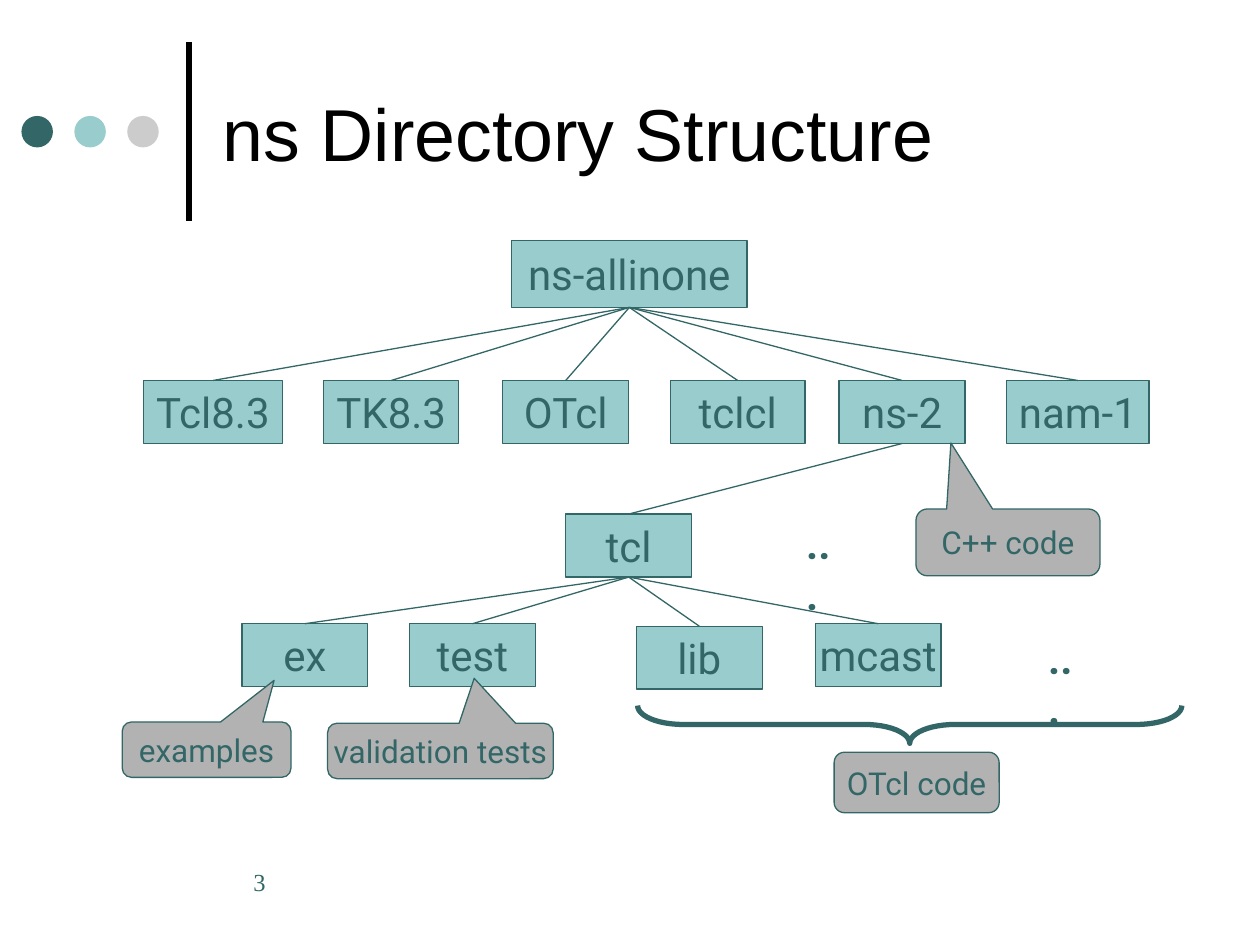
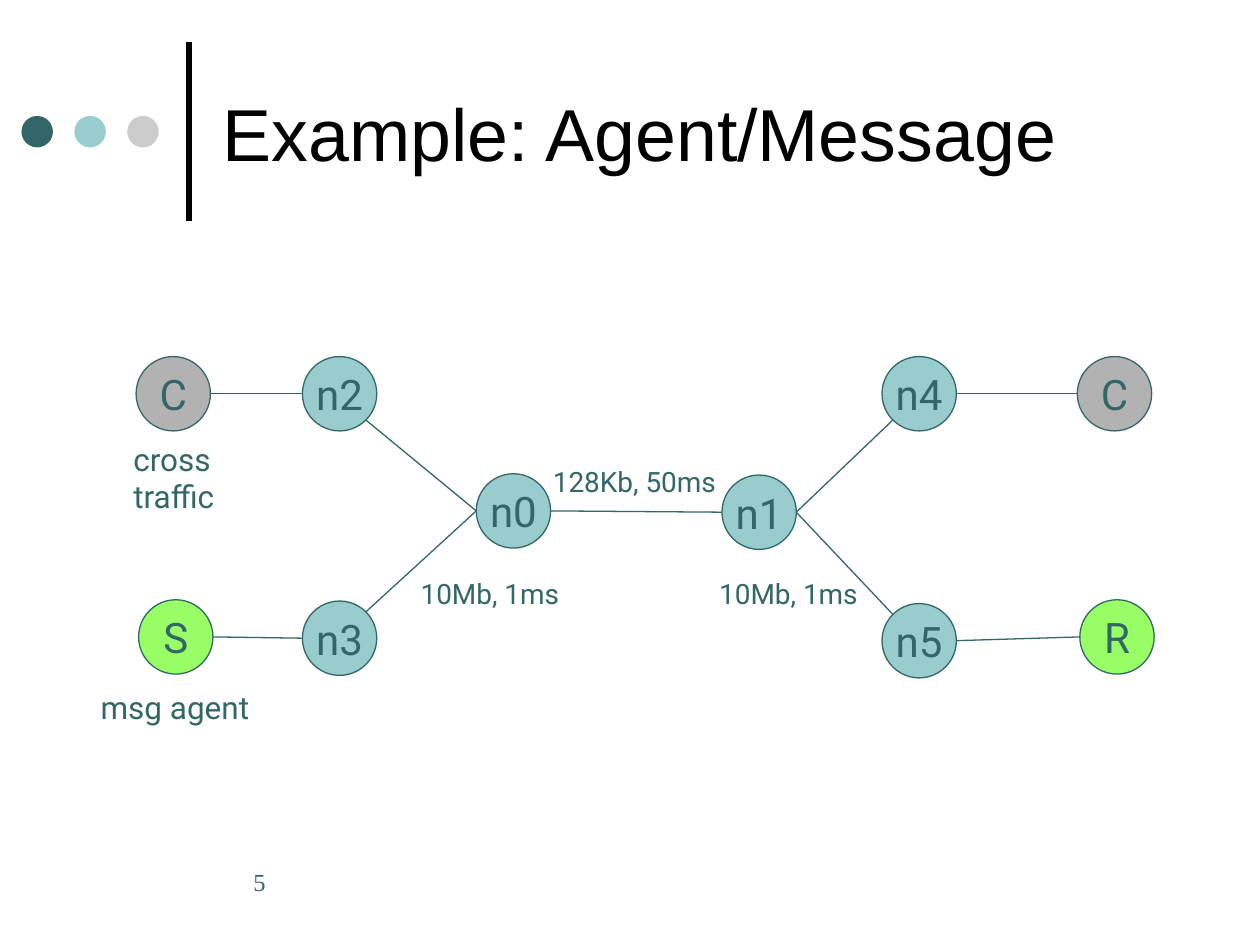
"""Build two slides on ns: its directory tree and an agent/message topology."""
from math import cos, radians, sin

from lxml import etree
from pptx import Presentation
from pptx.dml.color import RGBColor
from pptx.enum.shapes import MSO_CONNECTOR, MSO_SHAPE
from pptx.enum.text import MSO_ANCHOR, PP_ALIGN
from pptx.oxml.ns import qn
from pptx.util import Inches, Pt

RECT, OVAL, ROUND = MSO_SHAPE.RECTANGLE, MSO_SHAPE.OVAL, MSO_SHAPE.ROUNDED_RECTANGLE
CALLOUT, BRACE = MSO_SHAPE.ROUNDED_RECTANGULAR_CALLOUT, MSO_SHAPE.RIGHT_BRACE
STRAIGHT = MSO_CONNECTOR.STRAIGHT
TOP, MIDDLE = MSO_ANCHOR.TOP, MSO_ANCHOR.MIDDLE
LEFT, CENTER = PP_ALIGN.LEFT, PP_ALIGN.CENTER

COLORS = {"teal": "336666", "aqua": "99CCCC", "silver": "CCCCCC",
          "gray": "B2B2B2", "green": "99FF66", "black": "000000"}
DOTS = ["teal", "aqua", "silver"]
DOT_SIZE, DOT_STEP = 0.25, 0.42

TREE_TITLE, TREE_NUMBER = "ns Directory Structure", "3"
FOLDERS = {
    "ns-allinone": (4.06, 1.91, 1.87, 0.53),
    "Tcl8.3": (1.14, 3.02, 1.1, 0.5),
    "TK8.3": (2.57, 3.02, 1.07, 0.5),
    "OTcl": (3.99, 3.02, 1, 0.5),
    "tclcl": (5.32, 3.02, 1.07, 0.5),
    "ns-2": (6.66, 3.02, 1, 0.5),
    "nam-1": (7.99, 3.02, 1.13, 0.5),
    "tcl": (4.49, 4.08, 1, 0.5),
    "ex": (1.92, 4.95, 1, 0.5),
    "test": (3.25, 4.95, 1, 0.5),
    "lib": (5.05, 4.97, 1, 0.5),
    "mcast": (6.47, 4.95, 1, 0.5),
}
CHILDREN = {
    "ns-allinone": ["Tcl8.3", "TK8.3", "OTcl", "tclcl", "ns-2", "nam-1"],
    "ns-2": ["tcl"],
    "tcl": ["ex", "test", "lib", "mcast"],
}
MORE_FOLDERS = [(6.3, 4.06, 0.48, 0.5), (8.22, 4.97, 0.48, 0.5)]
NOTES = [
    ("examples", CALLOUT, (0.97, 5.73, 1.34, 0.44), (0.4, -1.25, 0.17)),
    ("validation tests", CALLOUT, (2.6, 5.74, 1.79, 0.44), (0.15, -1.31, 0.17)),
    ("C++ code", CALLOUT, (7.27, 4.04, 1.46, 0.53), (-0.31, -1.49, 0.17)),
    ("OTcl code", ROUND, (6.62, 5.97, 1.31, 0.48), (0.17,)),
]
BRACE_BOX, BRACE_ADJ = (7.07, 3.59, 0.3, 4.32), (1.2, 0.5)

NET_TITLE, NET_NUMBER = "Example: Agent/Message", "5"
NODE_SIZE = 0.59
NODES = {
    "n0": ("n0", "aqua", 3.78, 3.76),
    "n1": ("n1", "aqua", 5.73, 3.77),
    "n2": ("n2", "aqua", 2.4, 2.83),
    "n3": ("n3", "aqua", 2.4, 4.77),
    "n4": ("n4", "aqua", 7, 2.83),
    "n5": ("n5", "aqua", 7, 4.79),
    "cross_left": ("C", "gray", 1.08, 2.83),
    "cross_right": ("C", "gray", 8.55, 2.83),
    "sender": ("S", "green", 1.1, 4.76),
    "receiver": ("R", "green", 8.57, 4.76),
}
LINKS = [
    ("n0", 0, "n1", 180), ("n0", 180, "n2", 45), ("n0", 180, "n3", -45),
    ("n1", 0, "n4", 135), ("n1", 0, "n5", -135),
    ("cross_left", 0, "n2", 180), ("cross_right", 180, "n4", 0),
    ("sender", 0, "n3", 180), ("receiver", 180, "n5", 0),
]
LABELS = [
    ("128Kb, 50ms", 16, (4.29, 3.64, 1.54, 0.37)),
    ("10Mb, 1ms", 16, (3.24, 4.53, 1.35, 0.37)),
    ("10Mb, 1ms", 16, (5.61, 4.53, 1.35, 0.37)),
    ("cross\ntraffic", 18, (0.96, 3.44, 0.89, 0.7)),
    ("msg agent", 18, (0.7, 5.41, 1.45, 0.4)),
]


def rgb(name):
    return RGBColor.from_string(COLORS[name])


def write(sp, text, size=24, font="Roboto", color="teal", bold=False,
          align=LEFT, anchor=TOP, wrap=False):
    tf = sp.text_frame
    tf.word_wrap = wrap
    tf.vertical_anchor = anchor
    for i, line in enumerate(text.split("\n")):
        p = tf.add_paragraph() if i else tf.paragraphs[0]
        p.alignment = align
        r = p.add_run()
        r.text = line
        r.font.name, r.font.size, r.font.bold = font, Pt(size), bold
        r.font.color.rgb = rgb(color)


def add_text(s, text, box, **style):
    sp = s.shapes.add_textbox(*map(Inches, box))
    write(sp, text, **style)
    return sp


def add_shape(s, kind, box, fill=None, line="teal", weight=0.75, adj=(), text="", size=24):
    sp = s.shapes.add_shape(kind, *map(Inches, box))
    sp.shadow.inherit = False
    for i, value in enumerate(adj):
        sp.adjustments[i] = value
    if fill:
        sp.fill.solid()
        sp.fill.fore_color.rgb = rgb(fill)
    else:
        sp.fill.background()
    if line:
        sp.line.color.rgb = rgb(line)
        sp.line.width = Pt(weight)
    else:
        sp.line.fill.background()
    if text:
        write(sp, text, size=size, align=CENTER, anchor=MIDDLE)
    return sp


def add_line(s, start, end, color="teal", weight=0.75):
    line = s.shapes.add_connector(STRAIGHT, *map(Inches, (*start, *end)))
    line.line.color.rgb = rgb(color)
    line.line.width = Pt(weight)
    etree.SubElement(line._element.spPr, qn("a:effectLst"))


def add_slide(prs, title, number):
    s = prs.slides.add_slide(prs.slide_layouts[6])
    add_line(s, (1.5, 1.75), (1.5, 0.33), color="black", weight=3)
    for i, color in enumerate(DOTS):
        add_shape(s, OVAL, (0.17 + i * DOT_STEP, 0.92, DOT_SIZE, DOT_SIZE), fill=color, line=None)
    add_text(s, title, (1.67, 0.21, 7.67, 1.67), size=42, font="Arial",
             color="black", anchor=MIDDLE, wrap=True)
    sp = add_text(s, number, (1.67, 6.83, 1.42, 0.5), size=14, font="Times New Roman", wrap=True)
    sp.text_frame.margin_left = Inches(0.34)
    return s


def build_tree(prs):
    s = add_slide(prs, TREE_TITLE, TREE_NUMBER)
    for name, box in FOLDERS.items():
        add_shape(s, RECT, box, fill="aqua", text=name)
    for parent, children in CHILDREN.items():
        left, top, width, height = FOLDERS[parent]
        for child in children:
            x, y, w, _ = FOLDERS[child]
            add_line(s, (left + width / 2, top + height), (x + w / 2, y))
    for box in MORE_FOLDERS:
        add_text(s, "...", box, bold=True, wrap=True)
    brace = add_shape(s, BRACE, BRACE_BOX, weight=3, adj=BRACE_ADJ)
    brace.rotation = 90
    for text, kind, box, adj in NOTES:
        add_shape(s, kind, box, fill="gray", adj=adj, text=text, size=18)


def rim(node, angle):
    _, _, left, top = NODES[node]
    radius = NODE_SIZE / 2
    turn = radians(angle)
    return left + radius * (1 + cos(turn)), top + radius * (1 + sin(turn))


def build_network(prs):
    s = add_slide(prs, NET_TITLE, NET_NUMBER)
    for text, fill, left, top in NODES.values():
        add_shape(s, OVAL, (left, top, NODE_SIZE, NODE_SIZE), fill=fill, text=text)
    for start, start_angle, end, end_angle in LINKS:
        add_line(s, rim(start, start_angle), rim(end, end_angle))
    for text, size, box in LABELS:
        add_text(s, text, box, size=size)


def main():
    prs = Presentation()
    prs.slide_width, prs.slide_height = Inches(10), Inches(7.5)
    build_tree(prs)
    build_network(prs)
    prs.save("out.pptx")


if __name__ == "__main__":
    main()
